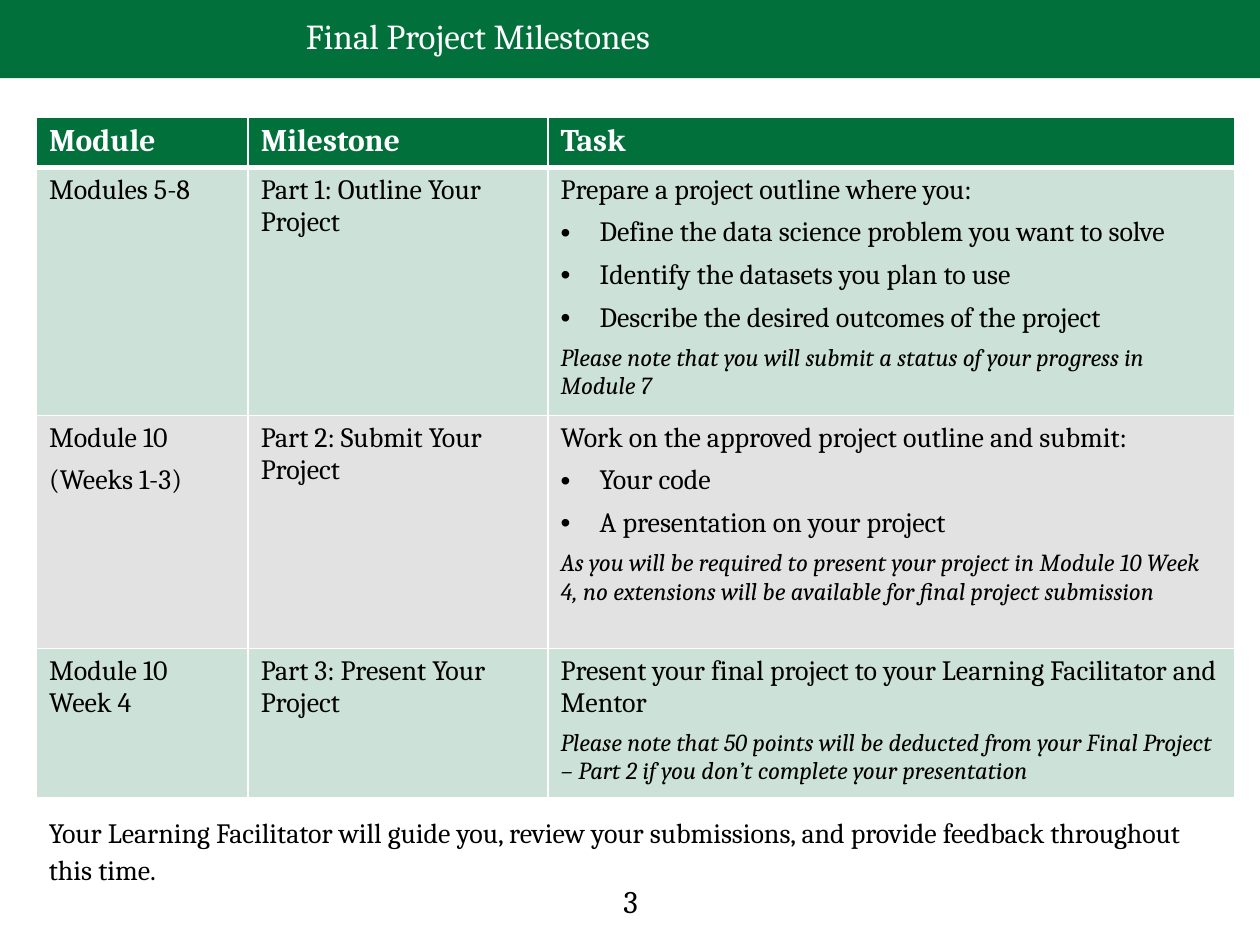
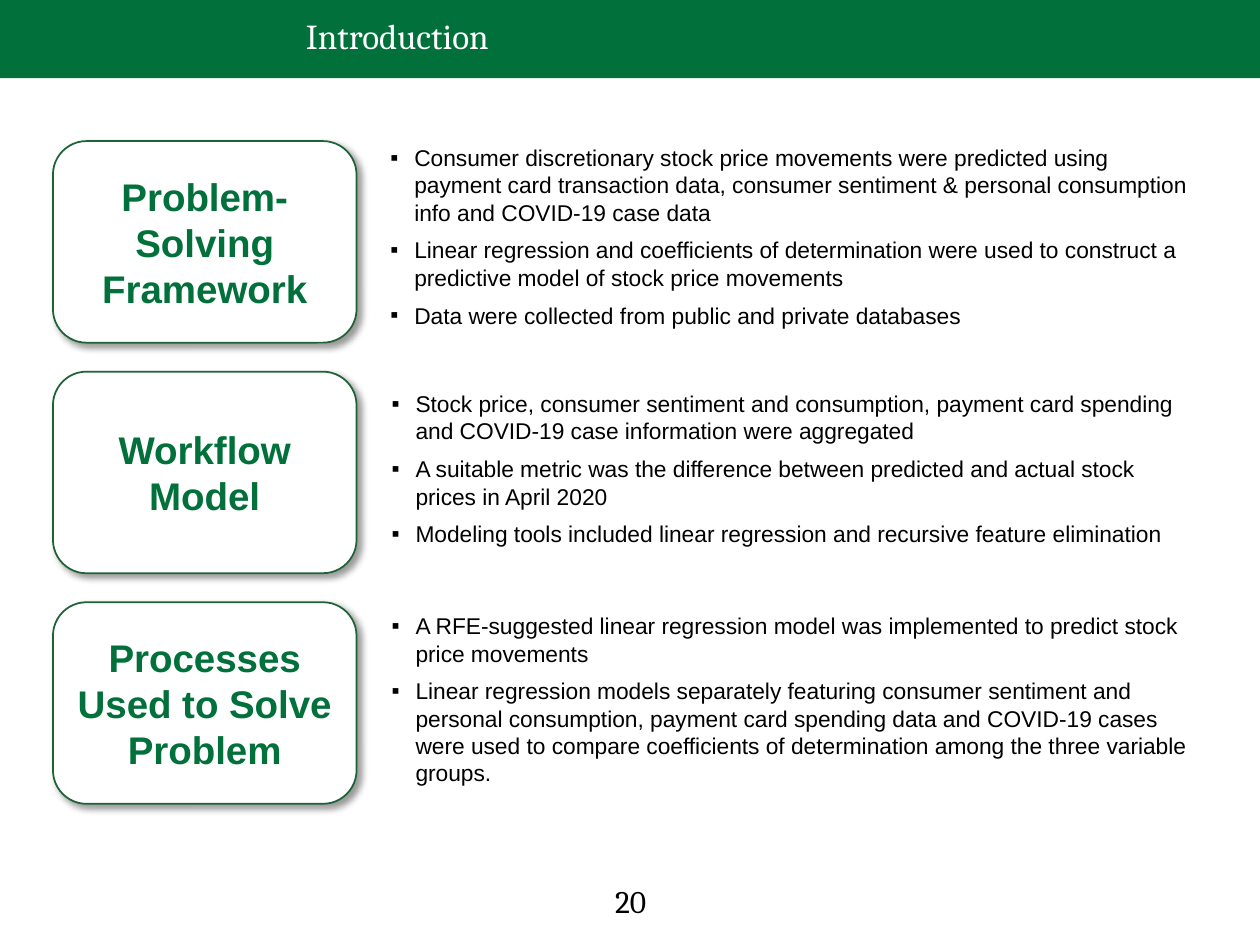
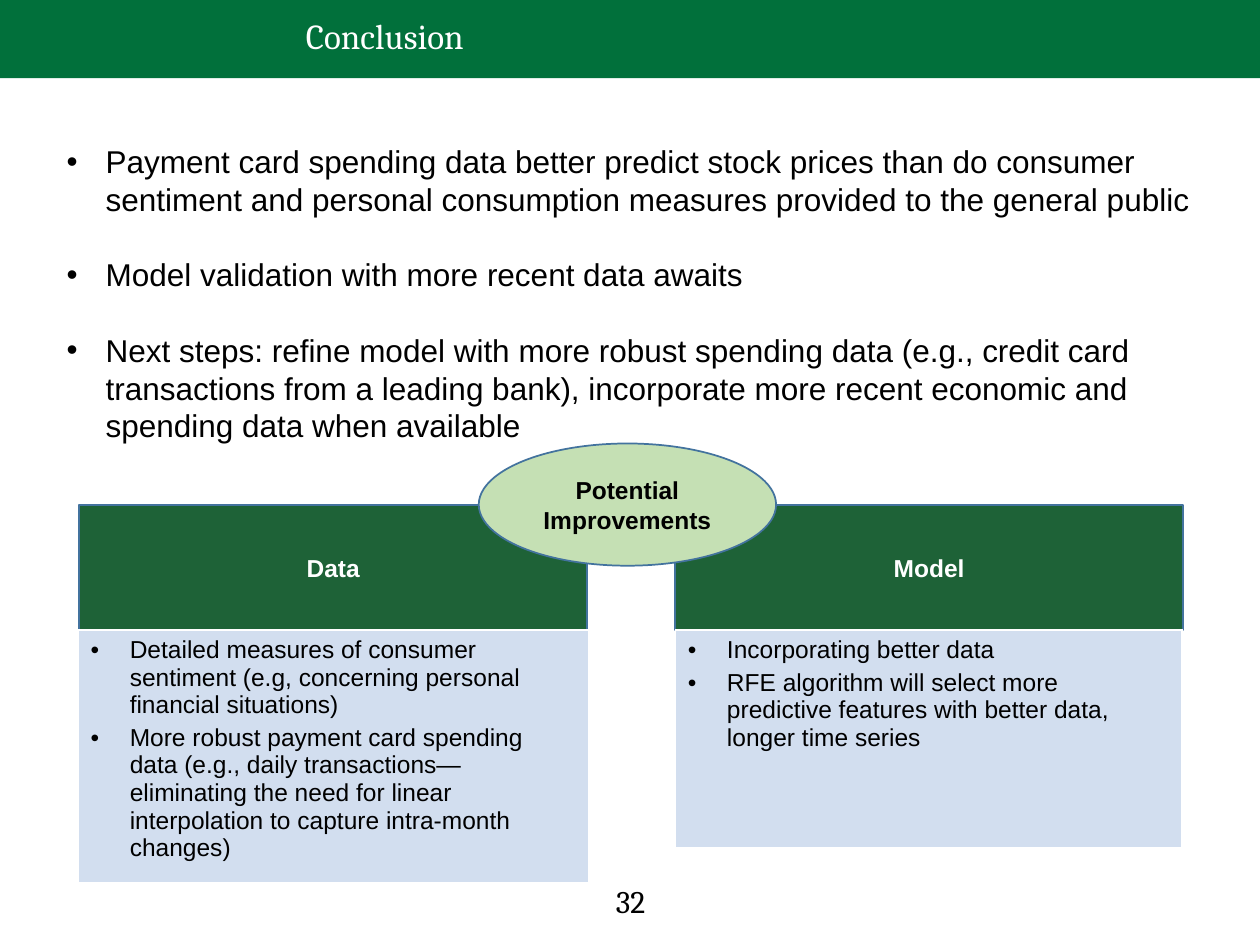
from lxml import etree
from pptx import Presentation
from pptx.dml.color import RGBColor
from pptx.enum.shapes import MSO_SHAPE as SHAPE
from pptx.enum.text import MSO_ANCHOR as ANCHOR, PP_ALIGN as ALIGN
from pptx.oxml.ns import qn
from pptx.util import Inches, Pt

GREEN, DARK_GREEN, LIGHT_GREEN = "01703B", "1E6237", "C5E0B4"
MINT, GREY, PALE_BLUE, BLUE = "CCE1D8", "E2E2E2", "D2DEEF", "43739E"
WHITE, BLACK = "FFFFFF", "000000"
SERIF, SANS = "Cambria", "Arial"

# Milestones: each cell is a list of (style, text) paragraphs
HEADERS = ["Module", "Milestone", "Task"]
MILESTONES = [
    ([("plain", "Modules 5-8")],
     [("plain", "Part 1: Outline Your Project")],
     [("plain", "Prepare a project outline where you:"),
      ("bullet", "Define the data science problem you want to solve"),
      ("bullet", "Identify the datasets you plan to use"),
      ("bullet", "Describe the desired outcomes of the project"),
      ("note", "Please note that you will submit a status of your progress in Module 7")]),
    ([("plain", "Module 10"), ("plain", "(Weeks 1-3)")],
     [("plain", "Part 2: Submit Your Project")],
     [("plain", "Work on the approved project outline and submit:"),
      ("bullet", "Your code"),
      ("bullet", "A presentation on your project"),
      ("note", "As you will be required to present your project in Module 10 Week 4, "
               "no extensions will be available for final project submission")]),
    ([("plain", "Module 10 \nWeek 4")],
     [("plain", "Part 3: Present Your Project")],
     [("plain", "Present your final project to your Learning Facilitator and Mentor"),
      ("note", "Please note that 50 points will be deducted from your Final Project "
               "– Part 2 if you don’t complete your presentation")]),
]
GUIDANCE = ("Your Learning Facilitator will guide you, review your submissions, "
            "and provide feedback throughout this time.")
CELL_STYLES = {
    "plain": dict(size=16),
    "bullet": dict(size=16, bullet="•", indent=0.31),
    "note": dict(size=14, italic=True),
}

# Introduction: heading, (left, top, height) of its list, list items
TOPICS = [
    ("Problem-Solving Framework", (3, 1.19, 1.37), [
        "Consumer discretionary stock price movements were predicted using payment card "
        "transaction data, consumer sentiment & personal consumption info and COVID-19 case data",
        "Linear regression and coefficients of determination were used to construct a "
        "predictive model of stock price movements",
        "Data were collected from public and private databases"]),
    ("Workflow Model", (3.01, 2.92, 1.6), [
        "Stock price, consumer sentiment and consumption, payment card spending and "
        "COVID-19 case information were aggregated",
        "A suitable metric was the difference between predicted and actual stock prices "
        "in April 2020",
        "Modeling tools included linear regression and recursive feature elimination"]),
    ("Processes Used to Solve Problem", (3.01, 4.75, 1.6), [
        "A RFE-suggested linear regression model was implemented to predict stock price movements",
        "Linear regression models separately featuring consumer sentiment and personal "
        "consumption, payment card spending data and COVID-19 cases were used to compare "
        "coefficients of determination among the three variable groups."]),
]

CONCLUSIONS = [
    "Payment card spending data better predict stock prices than do consumer sentiment "
    "and personal consumption measures provided to the general public",
    "Model validation with more recent data awaits",
    "Next steps: refine model with more robust spending data (e.g., credit card "
    "transactions from a leading bank), incorporate more recent economic and spending "
    "data when available",
]
# Heading, heading left, (left, width, height) of its table, items
IMPROVEMENTS = [
    ("Data", 0.63, (0.62, 4.05, 1.77), [
        "Detailed measures of consumer sentiment (e.g, concerning personal financial situations)",
        "More robust payment card spending data (e.g., daily transactions—eliminating the "
        "need for linear interpolation to capture intra-month changes)"]),
    ("Model", 5.36, (5.36, 4.02, 1.73), [
        "Incorporating better data",
        "RFE algorithm will select more predictive features with better data, longer time series"]),
]


def rgb(color):
    return RGBColor.from_string(color)


def write(tf, text, size=16, font=SERIF, color=BLACK, bold=False, italic=False,
          align=ALIGN.LEFT, bullet=None, indent=0, before=0, after=0, spacing=None):
    """Fill the empty first paragraph of tf, or add another one."""
    p = tf.paragraphs[0]
    if p.runs:
        p = tf.add_paragraph()
    p.text, p.alignment, p.line_spacing = text, align, spacing
    p.space_before, p.space_after = Pt(before), Pt(after)
    if bullet:
        pPr = p._p.get_or_add_pPr()
        pPr.set("marL", str(Inches(indent)))
        pPr.set("indent", str(-Inches(indent)))
        etree.SubElement(pPr, qn("a:buFont"), typeface="Arial")
        etree.SubElement(pPr, qn("a:buChar"), char=bullet)
    for r in p.runs:
        f = r.font
        f.size, f.name, f.bold, f.italic = Pt(size), font, bold, italic
        f.color.rgb = rgb(color)


def add_text(s, box, items, anchor=ANCHOR.TOP, gap=0, **fmt):
    """Text box with one paragraph per item, gap points before all but the first."""
    tf = s.shapes.add_textbox(*map(Inches, box)).text_frame
    tf.word_wrap, tf.vertical_anchor = True, anchor
    for i, item in enumerate(items):
        write(tf, item, before=gap if i else 0, **fmt)


def add_box(s, kind, box, fill, line=None, text=None, **fmt):
    sp = s.shapes.add_shape(kind, *map(Inches, box))
    sp.shadow.inherit = False
    sp.fill.solid()
    sp.fill.fore_color.rgb = rgb(fill)
    if line:
        sp.line.color.rgb, sp.line.width = rgb(line), Pt(1)
    else:
        sp.line.fill.background()
    if text:
        sp.text_frame.word_wrap = True
        sp.text_frame.vertical_anchor = ANCHOR.MIDDLE
        write(sp.text_frame, text, font=SANS, bold=True, align=ALIGN.CENTER, **fmt)
    return sp


def add_drop_shadow(sp):
    effects = sp._element.spPr.find(qn("a:effectLst"))
    shadow = etree.SubElement(effects, qn("a:outerShdw"), blurRad=str(Pt(4)), dist=str(Pt(3)),
                              dir=str(45 * 60000), algn="tl", rotWithShape="0")
    color = etree.SubElement(shadow, qn("a:srgbClr"), val=BLACK)
    etree.SubElement(color, qn("a:alpha"), val="40000")


def add_table(s, left, top, widths, heights):
    shape = s.shapes.add_table(len(heights), len(widths), Inches(left), Inches(top),
                               Inches(sum(widths)), Inches(sum(heights)))
    table = shape.table
    table.first_row = table.horz_banding = False
    for column, width in zip(table.columns, widths):
        column.width = Inches(width)
    for row, height in zip(table.rows, heights):
        row.height = Inches(height)
    return table


def style_cell(cell, fill, top=1, bottom=1):
    """White borders (widths in points) and a solid fill."""
    tcPr = cell._tc.get_or_add_tcPr()
    for side, width in (("lnL", 1), ("lnR", 1), ("lnT", top), ("lnB", bottom)):
        ln = etree.SubElement(tcPr, qn(f"a:{side}"), w=str(Pt(width)))
        etree.SubElement(etree.SubElement(ln, qn("a:solidFill")), qn("a:srgbClr"), val=WHITE)
    cell.fill.solid()
    cell.fill.fore_color.rgb = rgb(fill)


def new_slide(prs, title, number):
    s = prs.slides.add_slide(prs.slide_layouts[6])
    add_box(s, SHAPE.RECTANGLE, (0, 0, 10, 0.62), GREEN)
    add_text(s, (2.33, 0.01, 7.67, 0.59), [title], anchor=ANCHOR.MIDDLE,
             size=20, color=WHITE, spacing=0.9)
    add_text(s, (3.88, 6.95, 2.25, 0.4), [number], size=18, align=ALIGN.CENTER)
    return s


def build_milestones(prs):
    s = new_slide(prs, "Final Project Milestones", "3")
    table = add_table(s, 0.29, 0.93, [1.68, 2.38, 5.45], [0.4, 1.94, 1.85, 0.81])
    for col, header in enumerate(HEADERS):
        cell = table.cell(0, col)
        style_cell(cell, GREEN, bottom=3)
        write(cell.text_frame, header, size=18, color=WHITE, bold=True, after=6)
    for row, cells in enumerate(MILESTONES, 1):
        for col, paragraphs in enumerate(cells):
            cell = table.cell(row, col)
            style_cell(cell, MINT if row % 2 else GREY, top=3 if row == 1 else 1)
            for style, text in paragraphs:
                write(cell.text_frame, text, after=6, **CELL_STYLES[style])
    add_text(s, (0.29, 6.4, 9.51, 0.88), [GUIDANCE], spacing=1.1, after=12)


def build_introduction(prs):
    s = new_slide(prs, "Introduction", "20")
    for i, (heading, (left, top, height), items) in enumerate(TOPICS):
        card = add_box(s, SHAPE.ROUNDED_RECTANGLE, (0.42, 1.12 + 1.83 * i, 2.41, 1.6),
                       WHITE, DARK_GREEN, heading, size=22, color=GREEN)
        add_drop_shadow(card)
        add_text(s, (left, top, 6.57, height), items, anchor=ANCHOR.MIDDLE,
                 size=13, font=SANS, bullet="▪", indent=0.19, after=6)


def build_conclusion(prs):
    s = new_slide(prs, "Conclusion", "32")
    add_text(s, (0.43, 1.08, 9.15, 2.26), CONCLUSIONS, gap=21.5,
             size=18, font=SANS, bullet="•", indent=0.31)
    for heading, left, _, _ in IMPROVEMENTS:
        add_box(s, SHAPE.RECTANGLE, (left, 4.01, 4.03, 0.99), DARK_GREEN, BLUE,
                heading, size=14, color=WHITE)
    add_box(s, SHAPE.OVAL, (3.8, 3.52, 2.36, 0.97), LIGHT_GREEN, BLUE,
            "Potential Improvements", size=14)
    for _, _, (left, width, height), items in IMPROVEMENTS:
        cell = add_table(s, left, 5, [width], [height]).cell(0, 0)
        style_cell(cell, PALE_BLUE)
        for i, item in enumerate(items):
            write(cell.text_frame, item, size=14, font=SANS, bullet="•", indent=0.31,
                  before=3 if i else 0)


def main():
    prs = Presentation()
    prs.slide_width, prs.slide_height = Inches(10), Inches(7.5)
    build_milestones(prs)
    build_introduction(prs)
    build_conclusion(prs)
    prs.save("out.pptx")


if __name__ == "__main__":
    main()
